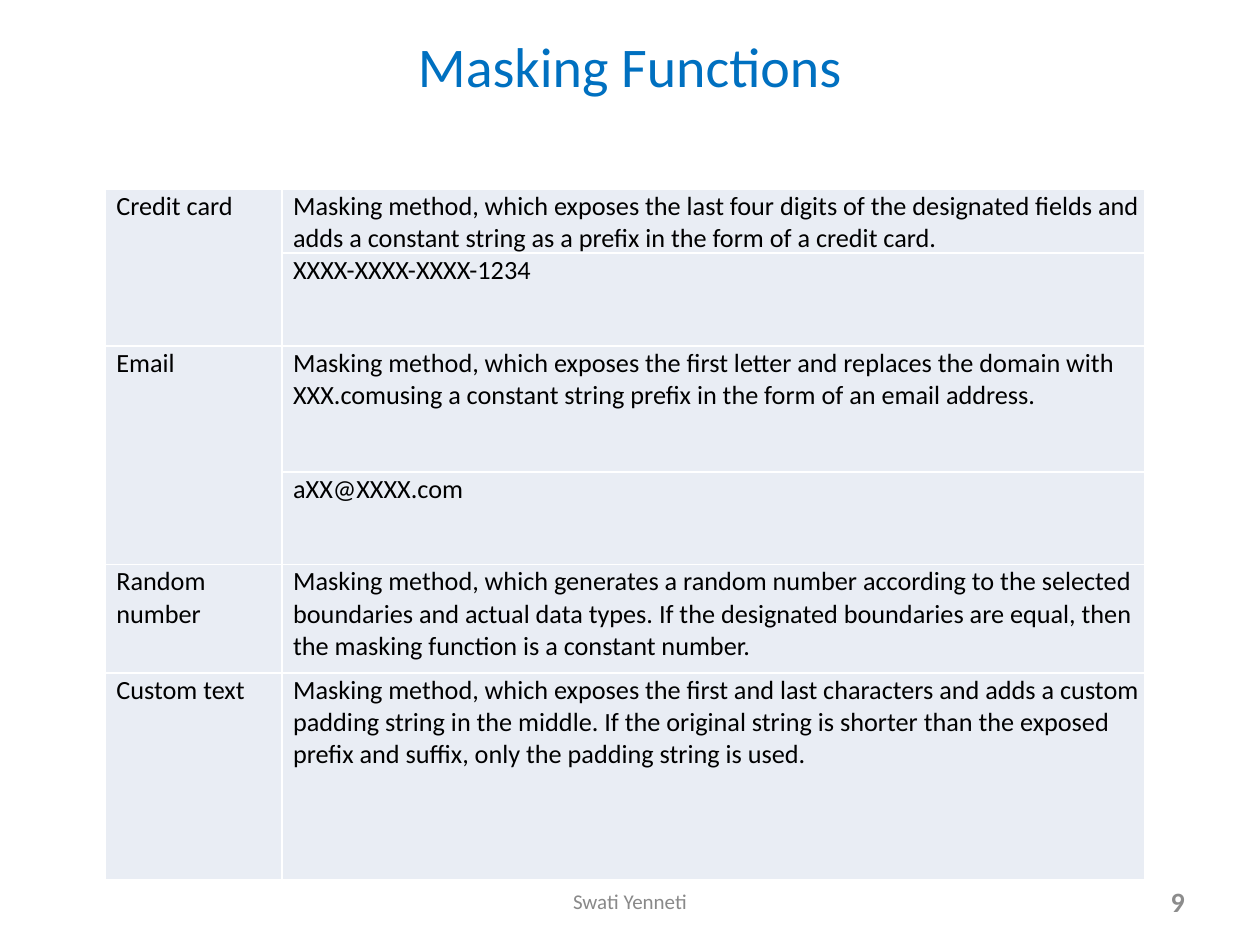
from dataclasses import dataclass

from lxml import etree
from pptx import Presentation
from pptx import util as u
from pptx.dml.color import RGBColor
from pptx.enum import text
from pptx.oxml import ns

FONT = "Calibri"
BLUE = RGBColor(0x00, 0x70, 0xC0)
GRAY = RGBColor(0x89, 0x89, 0x89)
NUMBER_GRAY = RGBColor(0x8C, 0x8C, 0x8C)
BLACK = RGBColor(0x00, 0x00, 0x00)
WHITE = RGBColor(0xFF, 0xFF, 0xFF)
CELL_FILL = RGBColor(0xE9, 0xED, 0xF4)


@dataclass(frozen=True)
class Label:
    wording: str
    left: float
    top: float
    width: float
    height: float
    size: float
    color: RGBColor
    alignment: text.PP_ALIGN
    bold: bool = False


@dataclass(frozen=True)
class Entry:
    description: str
    height: float


@dataclass(frozen=True)
class MaskingFunction:
    name: str
    entries: tuple[Entry, ...]


LABELS = (
    Label("Masking Functions", 36, 9.36, 648, 56.16, 32, BLUE, text.PP_ALIGN.CENTER),
    Label("Swati Yenneti", 246, 500.5, 228, 28.75, 12, GRAY, text.PP_ALIGN.CENTER),
    Label("9", 516, 500.5, 168, 28.75, 16, NUMBER_GRAY, text.PP_ALIGN.RIGHT, True),
)

FUNCTIONS = (
    MaskingFunction("Credit card", (
        Entry("Masking method, which exposes the last four digits of the designated "
              "fields and adds a constant string as a prefix in the form of a credit card.", 35.5),
        Entry("XXXX-XXXX-XXXX-1234", 53),
    )),
    MaskingFunction("Email", (
        Entry("Masking method, which exposes the first letter and replaces the domain with "
              "XXX.comusing a constant string prefix in the form of an email address.", 72),
        Entry("aXX@XXXX.com", 53),
    )),
    MaskingFunction("Random number", (
        Entry("Masking method, which generates a random number according to the selected "
              "boundaries and actual data types. If the designated boundaries are equal, "
              "then the masking function is a constant number.", 62),
    )),
    MaskingFunction("Custom text", (
        Entry("Masking method, which exposes the first and last characters and adds a custom "
              "padding string in the middle. If the original string is shorter than the "
              "exposed prefix and suffix, only the padding string is used.", 118),
    )),
)

TABLE_LEFT, TABLE_TOP = 60, 108
COLUMN_WIDTHS = (101, 493)


def style_paragraph(paragraph, size: float, color: RGBColor, bold: bool = False) -> None:
    paragraph.font.name = FONT
    paragraph.font.size = u.Pt(size)
    paragraph.font.color.rgb = color
    paragraph.font.bold = bold


def add_label(slide, label: Label) -> None:
    shape = slide.shapes.add_textbox(
        u.Pt(label.left), u.Pt(label.top), u.Pt(label.width), u.Pt(label.height))
    frame = shape.text_frame
    frame.word_wrap = True
    frame.vertical_anchor = text.MSO_ANCHOR.MIDDLE
    frame.text = label.wording
    paragraph = frame.paragraphs[0]
    paragraph.alignment = label.alignment
    style_paragraph(paragraph, label.size, label.color, label.bold)


def style_cell(cell) -> None:
    cell.margin_left = u.Pt(6.5)
    cell.margin_top = cell.margin_right = u.Pt(0.7)
    cell.margin_bottom = u.Pt(0)
    properties = cell._tc.get_or_add_tcPr()
    for side in ("lnL", "lnR", "lnT", "lnB"):
        line = etree.SubElement(properties, ns.qn(f"a:{side}"), w=str(u.Pt(1)))
        fill = etree.SubElement(line, ns.qn("a:solidFill"))
        etree.SubElement(fill, ns.qn("a:srgbClr"), val=str(WHITE))
    cell.fill.solid()
    cell.fill.fore_color.rgb = CELL_FILL


def fill_cell(cell, wording: str) -> None:
    cell.text = wording
    style_paragraph(cell.text_frame.paragraphs[0], 15, BLACK)


def add_function_table(slide, functions: tuple[MaskingFunction, ...]) -> None:
    heights = [entry.height for function in functions for entry in function.entries]
    table = slide.shapes.add_table(
        len(heights), len(COLUMN_WIDTHS), u.Pt(TABLE_LEFT), u.Pt(TABLE_TOP),
        u.Pt(sum(COLUMN_WIDTHS)), u.Pt(sum(heights))).table
    table.first_row = table.horz_banding = False
    for column, width in zip(table.columns, COLUMN_WIDTHS):
        column.width = u.Pt(width)
    for row, height in zip(table.rows, heights):
        row.height = u.Pt(height)
    for cell in table.iter_cells():
        style_cell(cell)
    first = 0
    for function in functions:
        last = first + len(function.entries) - 1
        if last > first:
            table.cell(first, 0).merge(table.cell(last, 0))
        fill_cell(table.cell(first, 0), function.name)
        for index, entry in enumerate(function.entries, first):
            fill_cell(table.cell(index, 1), entry.description)
        first = last + 1


def main() -> None:
    presentation = Presentation()
    presentation.slide_width = u.Pt(720)
    presentation.slide_height = u.Pt(540)
    slide = presentation.slides.add_slide(presentation.slide_layouts[6])
    for label in LABELS:
        add_label(slide, label)
    add_function_table(slide, FUNCTIONS)
    presentation.save("out.pptx")


if __name__ == "__main__":
    main()
